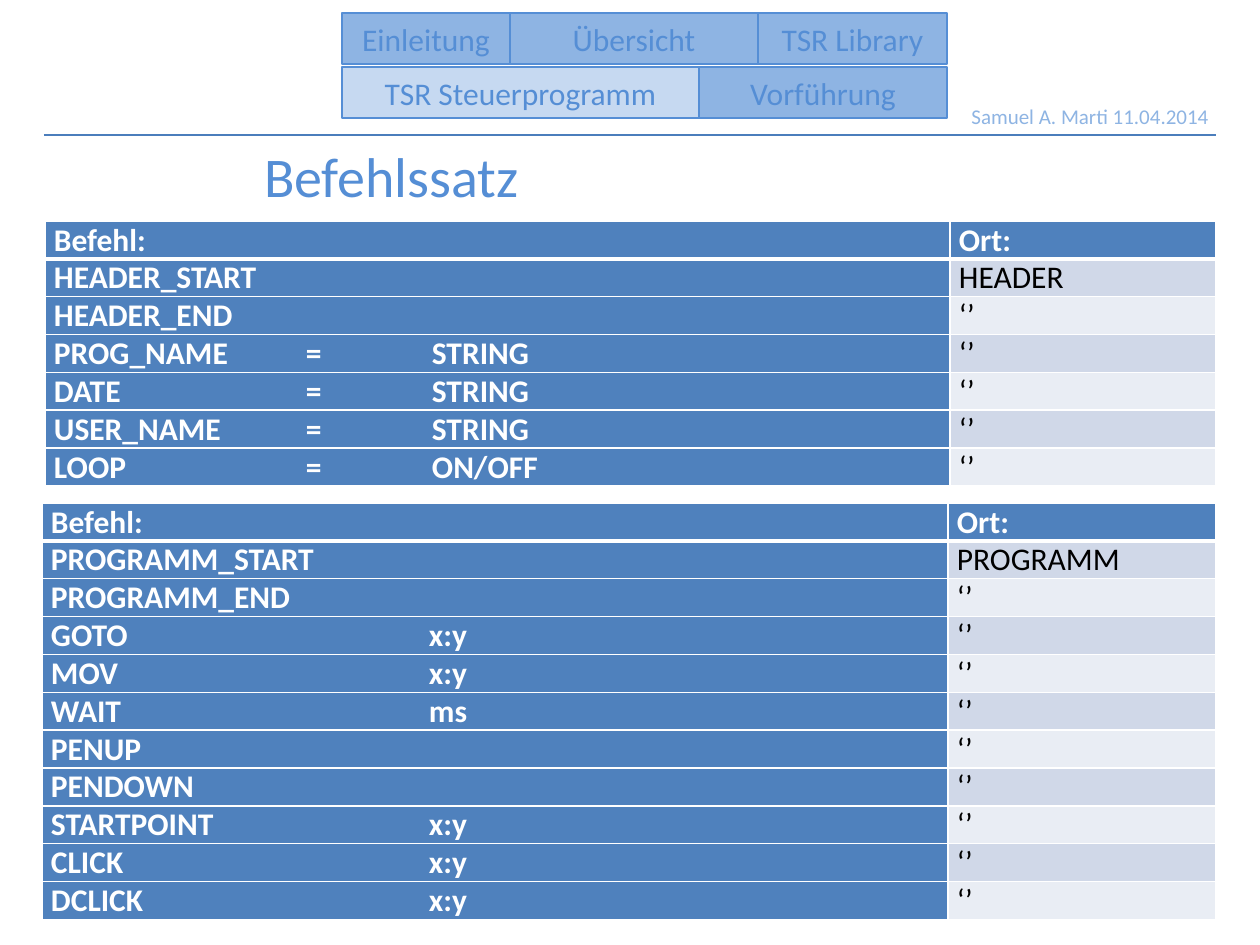
"""Build the slide on the command set of the TSR control program."""
import dataclasses
import typing

import lxml.etree
import pptx
import pptx.dml.color
import pptx.enum.shapes
import pptx.enum.text
import pptx.oxml
import pptx.oxml.ns
import pptx.util

EMU_PER_PX = 914400 / 126
ALIGN = pptx.enum.text.PP_ALIGN
ANCHOR = pptx.enum.text.MSO_ANCHOR
DITTO = "‘’"


@dataclasses.dataclass(frozen=True)
class Theme:
    font: str = "Calibri"
    accent: str = "558ED5"
    tab: str = "8EB4E3"
    active_tab: str = "C6D9F1"
    rule: str = "4B7EBC"
    command: str = "4F81BD"
    bands: tuple[str, str] = ("D0D8E8", "E9EDF4")
    white: str = "FFFFFF"
    black: str = "000000"
    title_size: int = 32
    body_size: int = 18
    byline_size: int = 12
    line_width: float = 0.75
    border: int = 1
    header_border: int = 3


@dataclasses.dataclass(frozen=True)
class Box:
    left: int
    top: int
    width: int
    height: int


@dataclasses.dataclass(frozen=True)
class Tab:
    label: str
    width: int
    active: bool = False


@dataclasses.dataclass(frozen=True)
class CommandTable:
    box: Box
    place_width: int
    place: str
    commands: tuple[str, ...]


THEME = Theme()
TAB_LEFT, TAB_HEIGHT = 342, 51
TAB_STOPS = (252, 378)
CELL_MARGIN = 9
TAB_ROWS = {
    13: (Tab("Einleitung", 168), Tab("Übersicht", 248), Tab("TSR Library", 189)),
    67: (Tab("TSR Steuerprogramm", 357, True), Tab("Vorführung", 248)),
}
TABLES = (
    CommandTable(Box(45, 221, 1171, 265), 266, "HEADER", (
        "HEADER_START", "HEADER_END", "PROG_NAME\t=\tSTRING", "DATE\t=\tSTRING",
        "USER_NAME\t=\tSTRING", "LOOP\t=\tON/OFF")),
    CommandTable(Box(42, 503, 1174, 416), 268, "PROGRAMM", (
        "PROGRAMM_START", "PROGRAMM_END", "GOTO\t\tx:y", "MOV\t\tx:y", "WAIT\t\tms",
        "PENUP", "PENDOWN", "STARTPOINT\t\tx:y", "CLICK\t\tx:y", "DCLICK\t\tx:y")),
)


def px(length: float) -> int:
    """Turn px into EMU."""
    return round(length * EMU_PER_PX)


def rgb(color: str) -> pptx.dml.color.RGBColor:
    """Return the colour object of a hex value."""
    return pptx.dml.color.RGBColor.from_string(color)


def place(shape: typing.Any, box: Box) -> None:
    """Move and size a shape."""
    shape.left, shape.top = px(box.left), px(box.top)
    shape.width, shape.height = px(box.width), px(box.height)


def write(frame: typing.Any, text: str, size: int, color: str,
          align: ALIGN = ALIGN.LEFT, bold: bool = False) -> typing.Any:
    """Write one run in the first paragraph and return the paragraph."""
    paragraph = frame.paragraphs[0]
    paragraph.alignment = align
    run = paragraph.add_run()
    run.text = text
    run.font.name, run.font.size, run.font.bold = THEME.font, pptx.util.Pt(size), bold
    run.font.color.rgb = rgb(color)
    return paragraph


def add_title(slide: typing.Any, text: str) -> None:
    """Format the title placeholder as an indented heading."""
    place(slide.shapes.title, Box(0, 135, 1260, 81))
    frame = slide.shapes.title.text_frame
    frame.word_wrap = True
    frame.auto_size = pptx.enum.text.MSO_AUTO_SIZE.NONE
    frame.vertical_anchor = ANCHOR.TOP
    frame.margin_left = px(264)
    write(frame, text, THEME.title_size, THEME.accent)


def add_rule(slide: typing.Any, left: int, right: int, top: int) -> None:
    """Draw the horizontal line below the navigation."""
    line = slide.shapes.add_connector(
        pptx.enum.shapes.MSO_CONNECTOR.STRAIGHT, px(left), px(top), px(right), px(top))
    line.line.color.rgb = rgb(THEME.rule)
    line.line.width = pptx.util.Pt(THEME.line_width)
    lxml.etree.SubElement(line._element.spPr, pptx.oxml.ns.qn("a:effectLst"))


def add_byline(slide: typing.Any, text: str, box: Box) -> None:
    """Add the author and date."""
    shape = slide.shapes.add_textbox(0, 0, 0, 0)
    place(shape, box)
    shape.text_frame.word_wrap = True
    write(shape.text_frame, text, THEME.byline_size, THEME.tab)


def add_tab(slide: typing.Any, tab: Tab, left: int, top: int) -> None:
    """Draw one navigation tab."""
    shape = slide.shapes.add_shape(
        pptx.enum.shapes.MSO_SHAPE.RECTANGLE, px(left), px(top), px(tab.width), px(TAB_HEIGHT))
    shape.shadow.inherit = False
    shape.fill.solid()
    shape.fill.fore_color.rgb = rgb(THEME.active_tab if tab.active else THEME.tab)
    shape.line.color.rgb = rgb(THEME.accent)
    shape.line.width = pptx.util.Pt(THEME.line_width)
    shape.text_frame.vertical_anchor = ANCHOR.MIDDLE
    write(shape.text_frame, tab.label, THEME.body_size, THEME.accent, ALIGN.CENTER)


def set_borders(cell: typing.Any, top: int, bottom: int) -> None:
    """Give a cell white borders, with widths in points."""
    widths = {"L": THEME.border, "R": THEME.border, "T": top, "B": bottom}
    for index, (side, width) in enumerate(widths.items()):
        border = pptx.oxml.parse_xml(
            f'<a:ln{side} {pptx.oxml.ns.nsdecls("a")} w="{pptx.util.Pt(width)}"><a:solidFill>'
            f'<a:srgbClr val="{THEME.white}"/></a:solidFill></a:ln{side}>')
        cell._tc.get_or_add_tcPr().insert(index, border)


def set_tab_stops(paragraph: typing.Any) -> None:
    """Align the operator and argument of a command."""
    stops = lxml.etree.SubElement(
        paragraph._p.get_or_add_pPr(), pptx.oxml.ns.qn("a:tabLst"))
    for stop in TAB_STOPS:
        lxml.etree.SubElement(
            stops, pptx.oxml.ns.qn("a:tab"), pos=str(px(stop)), algn="l")


def fill_cell(cell: typing.Any, text: str, row: int, column: int) -> None:
    """Write and colour a cell according to its place in the table."""
    strong = row == 0 or column == 0
    cell.margin_left = cell.margin_right = px(CELL_MARGIN)
    cell.margin_top = cell.margin_bottom = 0
    cell.fill.solid()
    cell.fill.fore_color.rgb = rgb(THEME.command if strong else THEME.bands[(row - 1) % 2])
    set_borders(cell, THEME.header_border if row == 1 else THEME.border,
                THEME.header_border if row == 0 else THEME.border)
    paragraph = write(cell.text_frame, text, THEME.body_size,
                      THEME.white if strong else THEME.black, ALIGN.JUSTIFY, strong)
    if "\t" in text:
        set_tab_stops(paragraph)


def add_command_table(slide: typing.Any, content: CommandTable) -> None:
    """Draw a table of commands and where they belong."""
    places = [content.place] + [DITTO] * (len(content.commands) - 1)
    rows = [("Befehl:", "Ort:"), *zip(content.commands, places)]
    box = content.box
    table = slide.shapes.add_table(
        len(rows), 2, px(box.left), px(box.top), px(box.width), px(box.height)).table
    table.columns[0].width = px(box.width - content.place_width)
    table.columns[1].width = px(content.place_width)
    for row, texts in enumerate(rows):
        table.rows[row].height = px(box.height / len(rows))
        for column, text in enumerate(texts):
            fill_cell(table.cell(row, column), text, row, column)


def main() -> None:
    """Build and save the presentation."""
    presentation = pptx.Presentation()
    presentation.slide_width, presentation.slide_height = px(1260), px(945)
    slide = presentation.slides.add_slide(presentation.slide_layouts[5])
    add_title(slide, "Befehlssatz")
    add_rule(slide, 44, 1216, 135)
    add_byline(slide, "Samuel A. Marti 11.04.2014", Box(959, 97, 268, 38))
    for top, tabs in TAB_ROWS.items():
        left = TAB_LEFT
        for tab in tabs:
            add_tab(slide, tab, left, top)
            left += tab.width
    for content in TABLES:
        add_command_table(slide, content)
    presentation.save("out.pptx")


if __name__ == "__main__":
    main()
